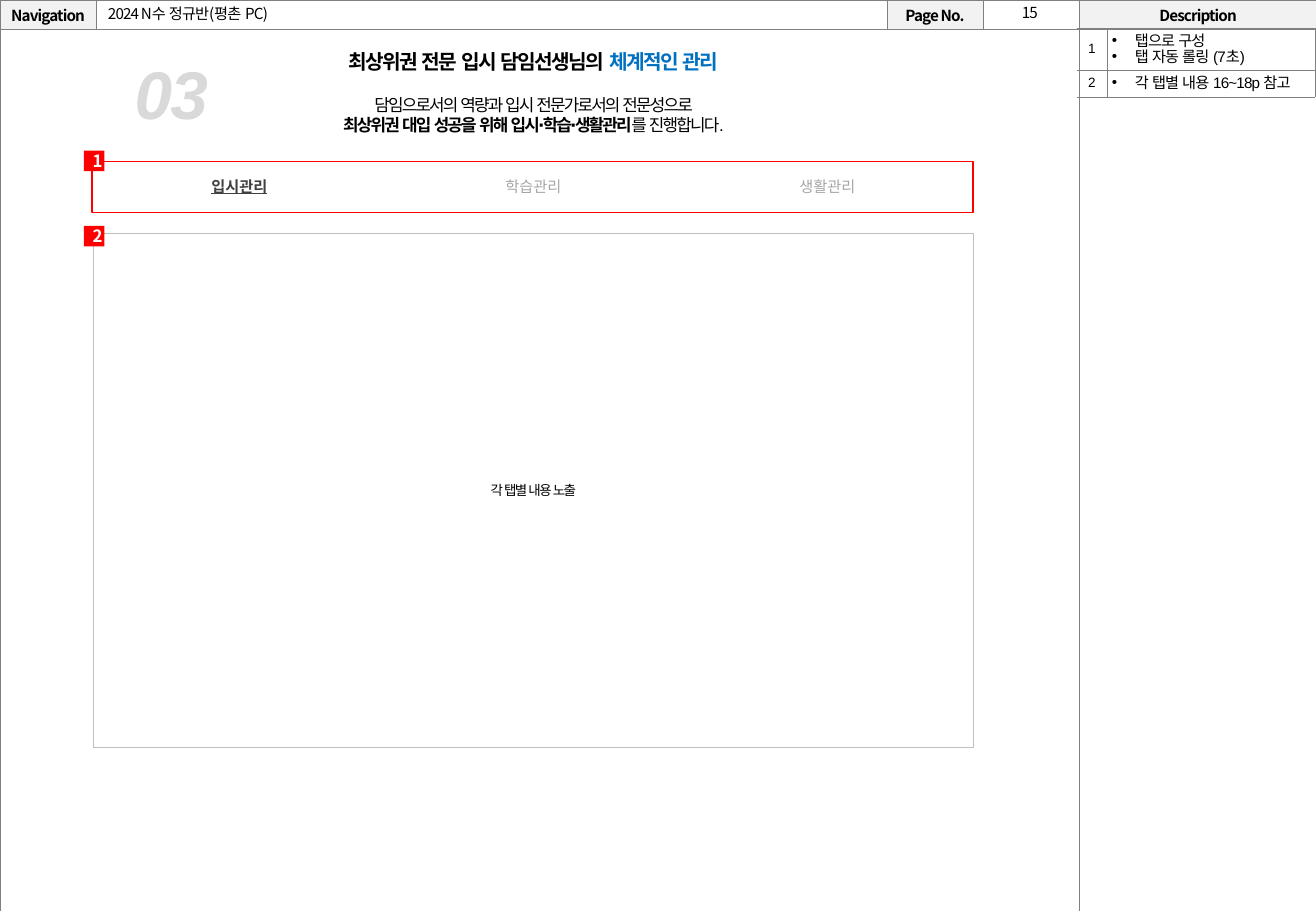
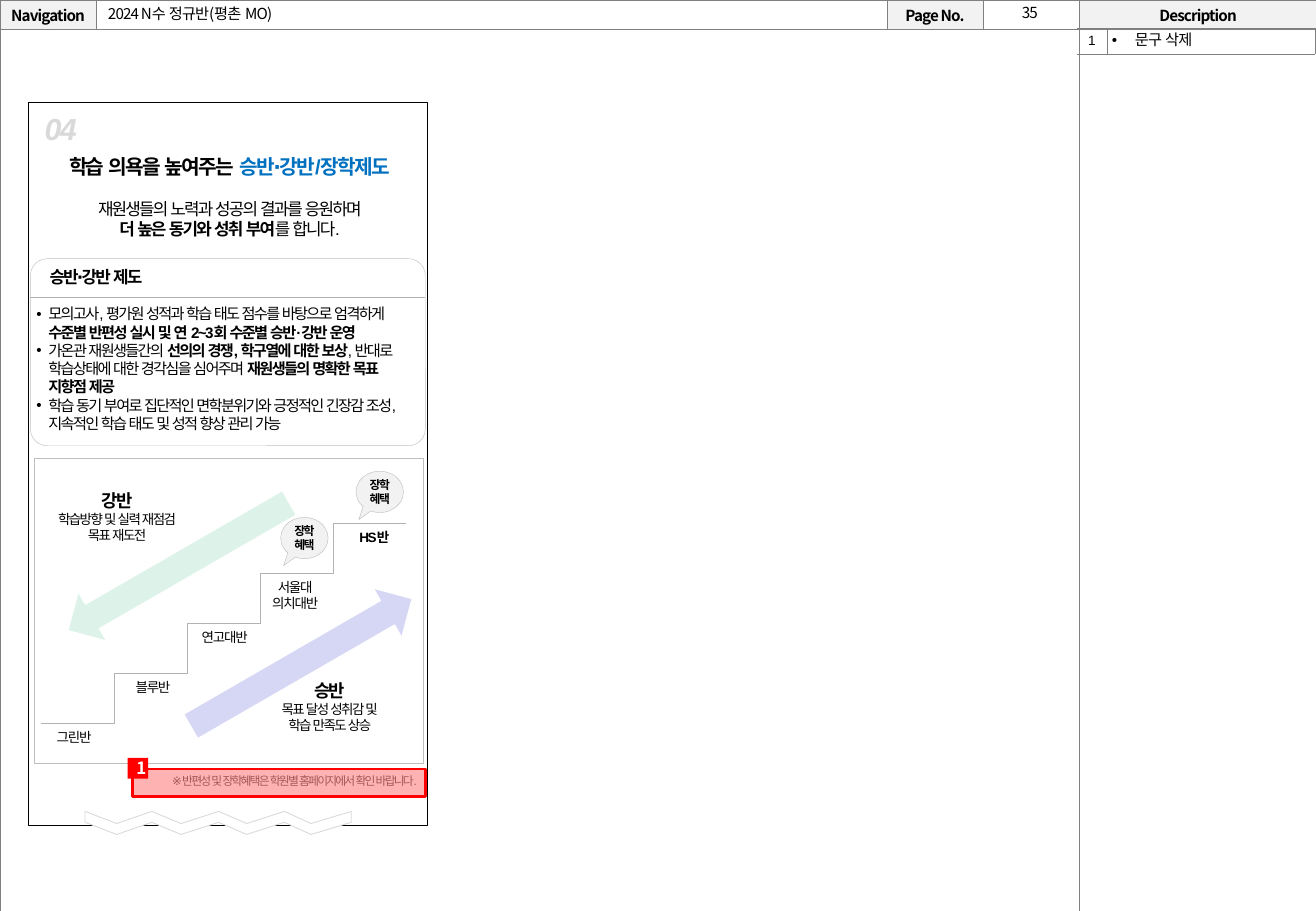
"""Build two storyboard slides with a shared header frame and description panel."""
import lxml.etree
import pptx
import pptx.dml.color
import pptx.enum.shapes
import pptx.enum.text
import pptx.oxml.ns
import pptx.util

RGBColor = pptx.dml.color.RGBColor
SHAPE = pptx.enum.shapes.MSO_SHAPE
CONNECTOR = pptx.enum.shapes.MSO_CONNECTOR
ALIGN = pptx.enum.text.PP_ALIGN
ANCHOR = pptx.enum.text.MSO_ANCHOR

EMU_PER_PX = 9144
SLIDE_WIDTH, SLIDE_HEIGHT = 1083, 750
HAIRLINE = 0.25
COLUMNS = [79, 651, 79, 79, 196]
HEADER_HEIGHT = 24
SANS, HEADER_FONT, FALLBACK = "Arial", "Noto Sans CJK KR", "DejaVu Sans"

BLACK = RGBColor(0x00, 0x00, 0x00)
WHITE = RGBColor(0xFF, 0xFF, 0xFF)
BLUE = RGBColor(0x00, 0x70, 0xC0)
RED = RGBColor(0xFF, 0x00, 0x00)
FRAME_GRAY = RGBColor(0x80, 0x80, 0x80)
HEADER_GRAY = RGBColor(0xF2, 0xF2, 0xF2)
CARD_GRAY = RGBColor(0xBF, 0xBF, 0xBF)
STEP_GRAY = RGBColor(0xB2, 0xB2, 0xB2)
PALE_GRAY = RGBColor(0xD9, 0xD9, 0xD9)
TAB_GRAY = RGBColor(0xA6, 0xA6, 0xA6)
TAB_DARK = RGBColor(0x40, 0x40, 0x40)
LILAC = RGBColor(0xD6, 0xD6, 0xF5)
MINT = RGBColor(0xDD, 0xF3, 0xEA)

HEADER_STYLE = {"size": 9, "name": HEADER_FONT, "spacing": -0.5}
BOLD = {"bold": True}


def px(*lengths):
    """Turn px lengths into a list of EMU lengths."""
    return [pptx.util.Emu(round(length * EMU_PER_PX)) for length in lengths]


def add_element(parent, tag, **attributes):
    """Append a DrawingML element to a parent and return it."""
    names = {key: str(value) for key, value in attributes.items()}
    return lxml.etree.SubElement(parent, pptx.oxml.ns.qn(tag), names)


def format_run(run, size=8, name=SANS, color=BLACK, bold=False, italic=False,
               underline=False, spacing=-1):
    """Set the character format of a run."""
    font = run.font
    font.size, font.name = pptx.util.Pt(size), name
    font.bold, font.italic, font.underline = bold, italic, underline
    font.color.rgb = color
    properties = run._r.get_or_add_rPr()
    properties.set("spc", str(round(spacing * 100)))
    add_element(properties, "a:ea", typeface=FALLBACK)


def write(frame, *lines, align=ALIGN.CENTER, anchor=ANCHOR.TOP, wrap=True,
          bullet_indent=0, line_spacing=None, gap_after_first=0, **style):
    """Write lines, each a string or a list of strings and (string, format) pairs."""
    frame.word_wrap, frame.vertical_anchor = wrap, anchor
    for index, line in enumerate(lines):
        paragraph = frame.add_paragraph() if index else frame.paragraphs[0]
        if bullet_indent:
            properties = paragraph._p.get_or_add_pPr()
            indent, = px(bullet_indent)
            properties.set("marL", str(indent))
            properties.set("indent", str(-indent))
            add_element(properties, "a:buFont", typeface=SANS)
            add_element(properties, "a:buChar", char="•")
        paragraph.alignment = align
        if line_spacing:
            paragraph.line_spacing = line_spacing
        if index == 1 and gap_after_first:
            paragraph.space_before = pptx.util.Pt(gap_after_first)
        for part in [line] if isinstance(line, str) else line:
            text, changes = (part, {}) if isinstance(part, str) else part
            run = paragraph.add_run()
            run.text = text
            format_run(run, **{**style, **changes})


def add_text(slide, box, *lines, **style):
    """Add a text box at (left, top, width, height)."""
    write(slide.shapes.add_textbox(*px(*box)).text_frame, *lines, **style)


def set_line(line, color, width):
    """Colour a line, or hide it when there is no colour."""
    if color is None:
        line.fill.background()
    else:
        line.color.rgb, line.width = color, pptx.util.Pt(width)


def set_fill(fill, color):
    """Fill with a colour, or with nothing."""
    if color is None:
        fill.background()
    else:
        fill.solid()
        fill.fore_color.rgb = color


def add_shape(slide, kind, box, fill=None, line=None, width=HAIRLINE,
              rotation=0, adjustments=(), opacity=None):
    """Add a preset shape without shadow."""
    shape = slide.shapes.add_shape(kind, *px(*box))
    shape.shadow.inherit = False
    shape.rotation = rotation
    for index, value in enumerate(adjustments):
        shape.adjustments[index] = value
    set_fill(shape.fill, fill)
    set_line(shape.line, line, width)
    if opacity is not None:
        color = shape._element.spPr.find(".//" + pptx.oxml.ns.qn("a:srgbClr"))
        add_element(color, "a:alpha", val=opacity * 1000)
    return shape


def add_line(slide, kind, *ends):
    """Add a thin gray connector from (x, y) to (x, y)."""
    connector = slide.shapes.add_connector(kind, *px(*ends))
    set_line(connector.line, STEP_GRAY, HAIRLINE)
    add_element(connector._element.spPr, "a:effectLst")


def add_table(slide, left, top, columns, rows):
    """Add a plain table from column widths and row heights."""
    box = px(left, top, sum(columns), sum(rows))
    table = slide.shapes.add_table(len(rows), len(columns), *box).table
    table.first_row = table.horz_banding = False
    for column, width in zip(table.columns, px(*columns)):
        column.width = width
    for row, height in zip(table.rows, px(*rows)):
        row.height = height
    return table


def style_cell(cell, color, width=HAIRLINE, sides="LRTB", fill=None, margin=0):
    """Set the borders, fill and margins of a cell."""
    properties = cell._tc.get_or_add_tcPr()
    for side in "LRTB":
        border = add_element(properties, "a:ln" + side, w=round(width * 12700))
        if side in sides:
            solid = add_element(border, "a:solidFill")
            add_element(solid, "a:srgbClr", val=color)
        else:
            add_element(border, "a:noFill")
    set_fill(cell.fill, fill)
    inset, = px(margin)
    cell.margin_left = cell.margin_right = inset
    cell.margin_top = cell.margin_bottom = inset
    cell.vertical_anchor = ANCHOR.MIDDLE
    cell.text_frame.paragraphs[0]._p.get_or_add_endParaRPr().set("sz", "900")


def write_cell(cell, *lines, **style):
    """Write vertically centred text in a cell."""
    write(cell.text_frame, *lines, **style)
    cell.vertical_anchor = ANCHOR.MIDDLE


def add_storyboard_slide(presentation, title, number):
    """Add a blank slide with the header frame, title and page number."""
    slide = presentation.slides.add_slide(presentation.slide_layouts[6])
    rows = [HEADER_HEIGHT, SLIDE_HEIGHT - HEADER_HEIGHT]
    table = add_table(slide, 0, 0, COLUMNS, rows)
    labels = {0: "Navigation", 2: "Page No.", 4: "Description"}
    for row in range(len(rows)):
        for column in range(len(COLUMNS)):
            cell = table.cell(row, column)
            is_label = row == 0 and column in labels
            style_cell(cell, FRAME_GRAY, fill=HEADER_GRAY if is_label else WHITE)
            if is_label:
                write_cell(cell, labels[column], bold=True, **HEADER_STYLE)
    table.cell(1, 0).merge(table.cell(1, 3))
    add_text(slide, (809, -2, 77, 25), number, **HEADER_STYLE)
    add_text(slide, (79, 0, 652, 23), title, align=ALIGN.LEFT,
             anchor=ANCHOR.MIDDLE, **HEADER_STYLE)
    return slide


def add_descriptions(slide, *notes):
    """Add the numbered notes, each a list of bullet lines."""
    heights = [7 + 14 * len(lines) for lines in notes]
    table = add_table(slide, 886, 23, [25, 171], heights)
    for index, lines in enumerate(notes):
        number_cell, note_cell = table.cell(index, 0), table.cell(index, 1)
        style_cell(number_cell, FRAME_GRAY, sides="RTB", margin=4)
        style_cell(note_cell, FRAME_GRAY, margin=4)
        write_cell(number_cell, str(index + 1), line_spacing=0.9)
        write_cell(note_cell, *lines, size=9, spacing=-0.5, align=ALIGN.LEFT,
                   bullet_indent=19, line_spacing=0.9)


def add_marker(slide, left, top, number):
    """Add a red number marker."""
    marker = add_shape(slide, SHAPE.RECTANGLE, (left, top, 17, 17), RED)
    write(marker.text_frame, number, anchor=ANCHOR.MIDDLE, size=10,
          name=HEADER_FONT, color=WHITE, bold=True, spacing=0)


def add_heading(slide, box, title, accent, *lines):
    """Add a two-colour heading with lines of lead text below."""
    large = {"size": 12, "bold": True}
    add_text(slide, box, [(title, large), (accent, {**large, "color": BLUE})],
             *lines, size=10, gap_after_first=12)


def add_section_number(slide, box, number, size):
    """Add a large pale section number."""
    add_text(slide, box, number, size=size, align=ALIGN.LEFT, color=PALE_GRAY,
             bold=True, italic=True)


def add_tabs(slide, labels):
    """Add the tab bar with its first tab selected."""
    table = add_table(slide, 76, 134, [242] * len(labels), [41])
    for index, label in enumerate(labels):
        selected = index == 0
        cell = table.cell(0, index)
        style_cell(cell, PALE_GRAY, 1, "R" if index < len(labels) - 1 else "", margin=5)
        write_cell(cell, label, size=9, name=FALLBACK, spacing=0, bold=selected,
                   underline=selected, color=TAB_DARK if selected else TAB_GRAY)


def add_direction(slide, arrow_box, rotation, color, text_box, title, *lines):
    """Add a slanted arrow and its caption."""
    add_shape(slide, SHAPE.UP_ARROW, arrow_box, color, rotation=rotation)
    add_text(slide, text_box, [(title, {"size": 10.5, "bold": True})], *lines)


def add_staircase(slide):
    """Add the class steps, direction arrows and benefit callouts."""
    add_shape(slide, SHAPE.RECTANGLE, (28, 377, 320, 251), WHITE, CARD_GRAY)
    tread, rise = 60, 41
    for step in range(4):
        right, top = 154 + tread * step, 554 - rise * step
        add_line(slide, CONNECTOR.ELBOW, right, top, right - 2 * tread, top + rise)
    classes = [(27, ["그린반"]), (92, ["블루반"]), (151, ["연고대반"]),
               (209, ["서울대", "의치대반"]), (274, ["HS반"])]
    for step, (left, lines) in enumerate(classes):
        add_text(slide, (left, 595 - rise * step, 68, 10 + 13 * len(lines)), *lines,
                 bold=step == len(classes) - 1, spacing=-0.8)
    add_direction(slide, (226, 441, 44, 209), 60, LILAC, (205, 555, 133, 55),
                  "승반", "목표 달성 성취감 및", "학습 만족도 상승")
    add_direction(slide, (125, 362, 44, 209), 240, MINT, (30, 398, 133, 55),
                  "강반", "학습방향 및 실력 재점검", "목표 재도전")
    for left, top in [(293, 388), (231, 426)]:
        callout = add_shape(slide, SHAPE.OVAL_CALLOUT, (left, top, 39, 34), HEADER_GRAY,
                            CARD_GRAY, adjustments=(-0.44, 0.67))
        write(callout.text_frame, "장학", "혜택", anchor=ANCHOR.MIDDLE, wrap=False,
              size=7, bold=True, spacing=-0.8)


def add_torn_edge(slide):
    """Add the zigzag band that cuts the bottom of the screen."""
    corners = [70, 96, 125, 149, 180, 203, 234, 256, 289]
    upper = [(x, 668 + 10 * (index % 2)) for index, x in enumerate(corners)]
    lower = [(x, y + 9) for x, y in upper]
    builder = slide.shapes.build_freeform(*lower[0], scale=EMU_PER_PX)
    builder.add_line_segments(lower[1:] + upper[::-1], close=True)
    band = builder.convert_to_shape()
    band.shadow.inherit = False
    set_fill(band.fill, WHITE)
    set_line(band.line, PALE_GRAY, 0.5)


def build_tab_slide(presentation):
    """Build the desktop slide with the management tabs."""
    slide = add_storyboard_slide(presentation, "2024 N수 정규반(평촌 PC)", "15")
    add_heading(slide, (77, 36, 724, 98), "최상위권 전문 입시 담임선생님의 ", "체계적인 관리",
                "담임으로서의 역량과 입시 전문가로서의 전문성으로",
                [("최상위권 대입 성공을 위해 입시∙학습∙생활관리", BOLD), "를 진행합니다."])
    add_section_number(slide, (101, 38, 87, 77), "03", 40)
    content = add_shape(slide, SHAPE.RECTANGLE, (77, 192, 724, 423), WHITE, CARD_GRAY)
    write(content.text_frame, "각 탭별 내용 노출", anchor=ANCHOR.MIDDLE)
    add_tabs(slide, ["입시관리", "학습관리", "생활관리"])
    add_shape(slide, SHAPE.RECTANGLE, (76, 133, 725, 42), line=RED, width=1)
    add_marker(slide, 69, 124, "1")
    add_marker(slide, 69, 186, "2")
    add_descriptions(slide, ["탭으로 구성", "탭 자동 롤링 (7초)"], ["각 탭별 내용 16~18p 참고"])


def build_mobile_slide(presentation):
    """Build the mobile slide with the class promotion scheme."""
    slide = add_storyboard_slide(presentation, "2024 N수 정규반(평촌 MO)", "35")
    add_staircase(slide)
    add_heading(slide, (12, 122, 354, 81), "학습 의욕을 높여주는 ", "승반∙강반/장학제도",
                "재원생들의 노력과 성공의 결과를 응원하며",
                [("더 높은 동기와 성취 부여", BOLD), "를 합니다."])
    add_shape(slide, SHAPE.ROUNDED_RECTANGLE, (25, 213, 325, 154), WHITE, CARD_GRAY,
              adjustments=(0.09,))
    add_line(slide, CONNECTOR.STRAIGHT, 25, 245, 350, 245)
    add_text(slide, (1, 215, 156, 27), "승반∙강반 제도", size=10, bold=True)
    add_shape(slide, SHAPE.RECTANGLE, (23, 84, 329, 595), line=BLACK)
    add_torn_edge(slide)
    add_section_number(slide, (27, 86, 87, 40), "04", 18)
    add_text(slide, (96, 632, 257, 22), "※ 반편성 및 장학혜택은 학원별 홈페이지에서 확인 바랍니다.",
             size=7, color=FRAME_GRAY, align=ALIGN.RIGHT)
    add_text(slide, (20, 246, 331, 116),
             ["모의고사, 평가원 성적과 학습 태도 점수를 바탕으로 엄격하게 ",
              ("수준별 반편성 실시 및 연 2~3회 수준별 승반·강반 운영", BOLD)],
             ["가온관 재원생들간의 ", ("선의의 경쟁, 학구열에 대한 보상", BOLD),
              ", 반대로 학습상태에 대한 경각심을 심어주며 ",
              ("재원생들의 명확한 목표 지향점 제공", BOLD)],
             "학습 동기 부여로 집단적인 면학분위기와 긍정적인 긴장감 조성, "
             "지속적인 학습 태도 및 성적 향상 관리 가능",
             size=9, align=ALIGN.LEFT, bullet_indent=10)
    add_descriptions(slide, ["문구 삭제"])
    add_shape(slide, SHAPE.RECTANGLE, (109, 633, 241, 23), RED, RED, 1.5, opacity=30)
    add_marker(slide, 105, 624, "1")


def main():
    """Build and save the presentation."""
    presentation = pptx.Presentation()
    presentation.slide_width, presentation.slide_height = px(SLIDE_WIDTH, SLIDE_HEIGHT)
    build_tab_slide(presentation)
    build_mobile_slide(presentation)
    presentation.save("out.pptx")


if __name__ == "__main__":
    main()
